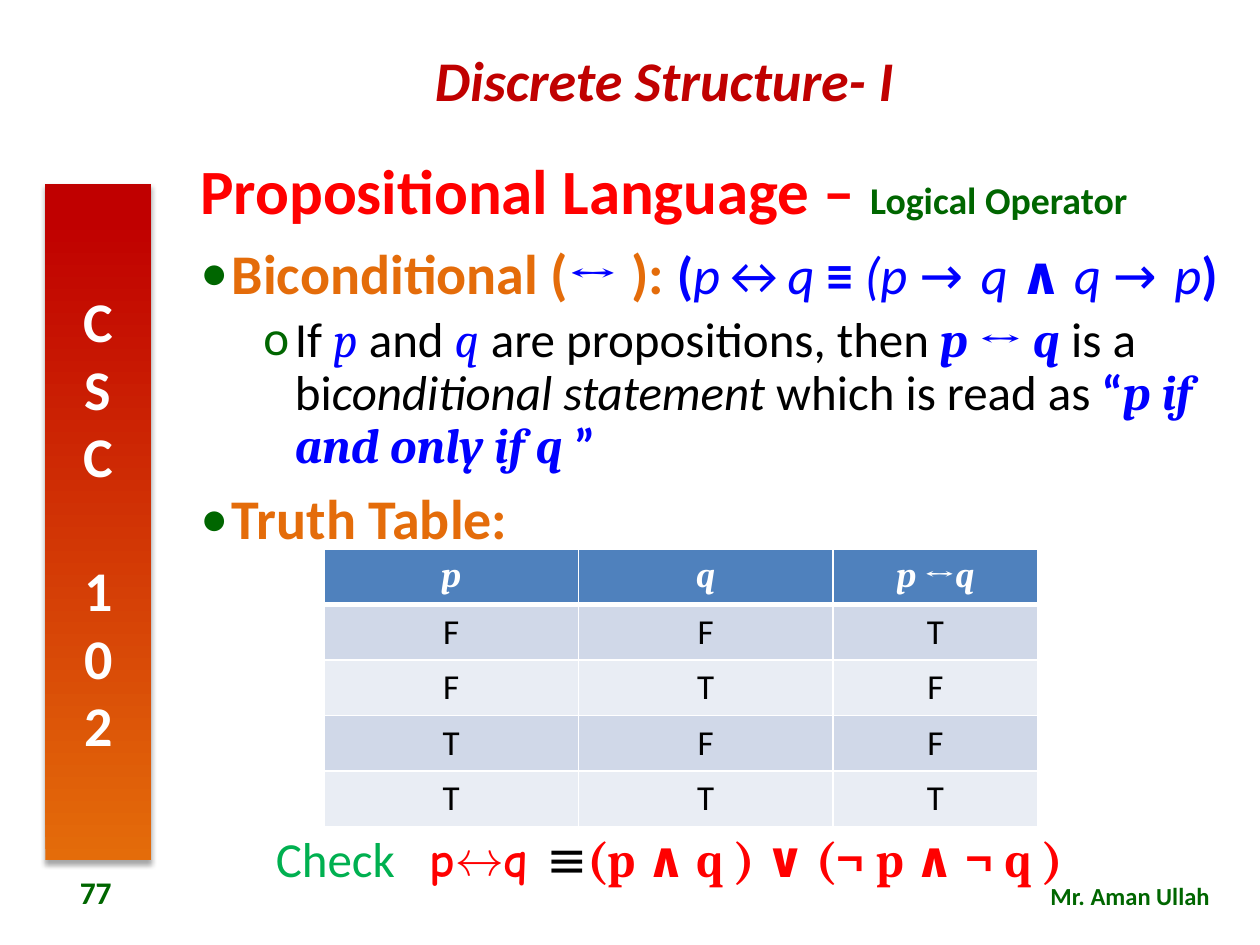
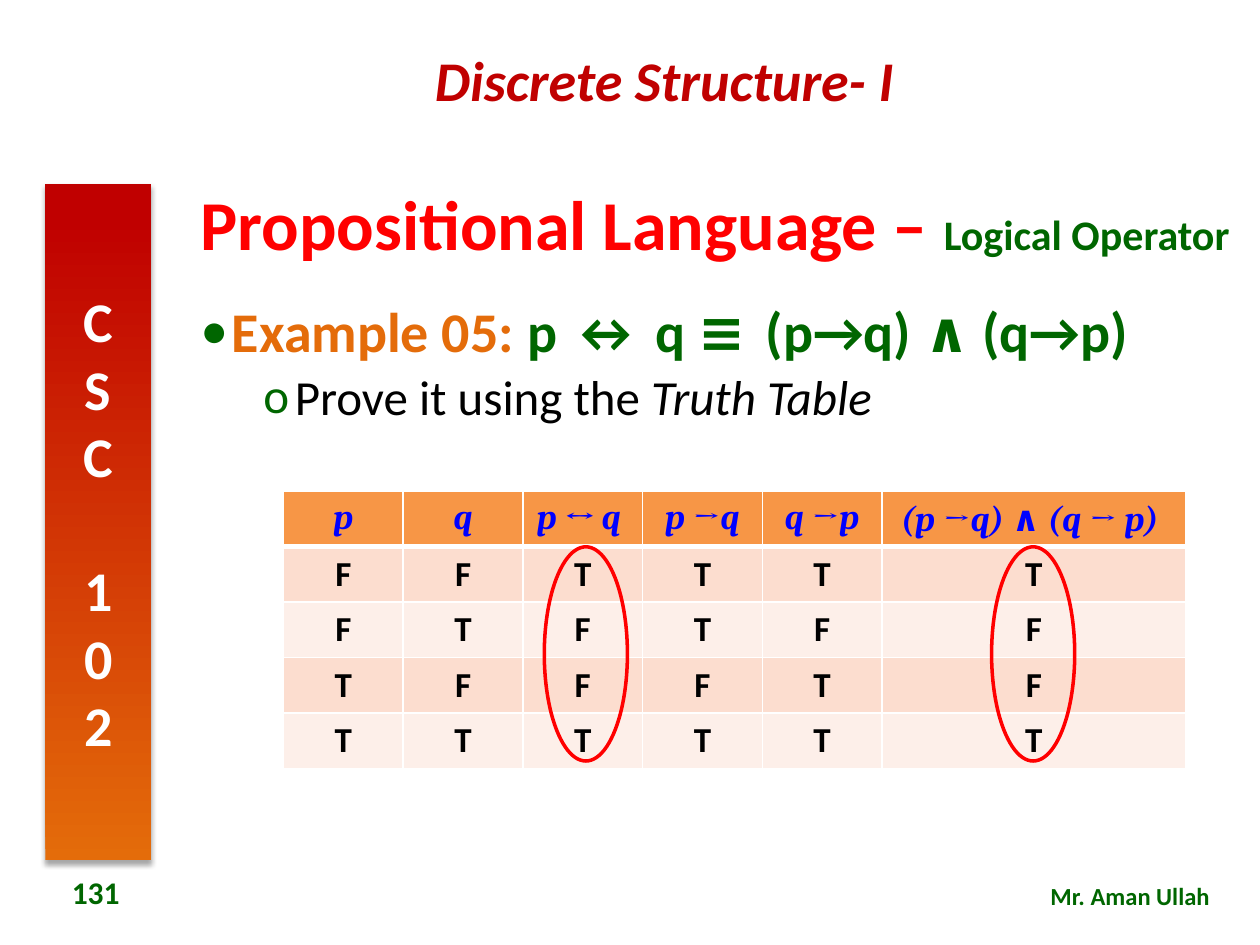
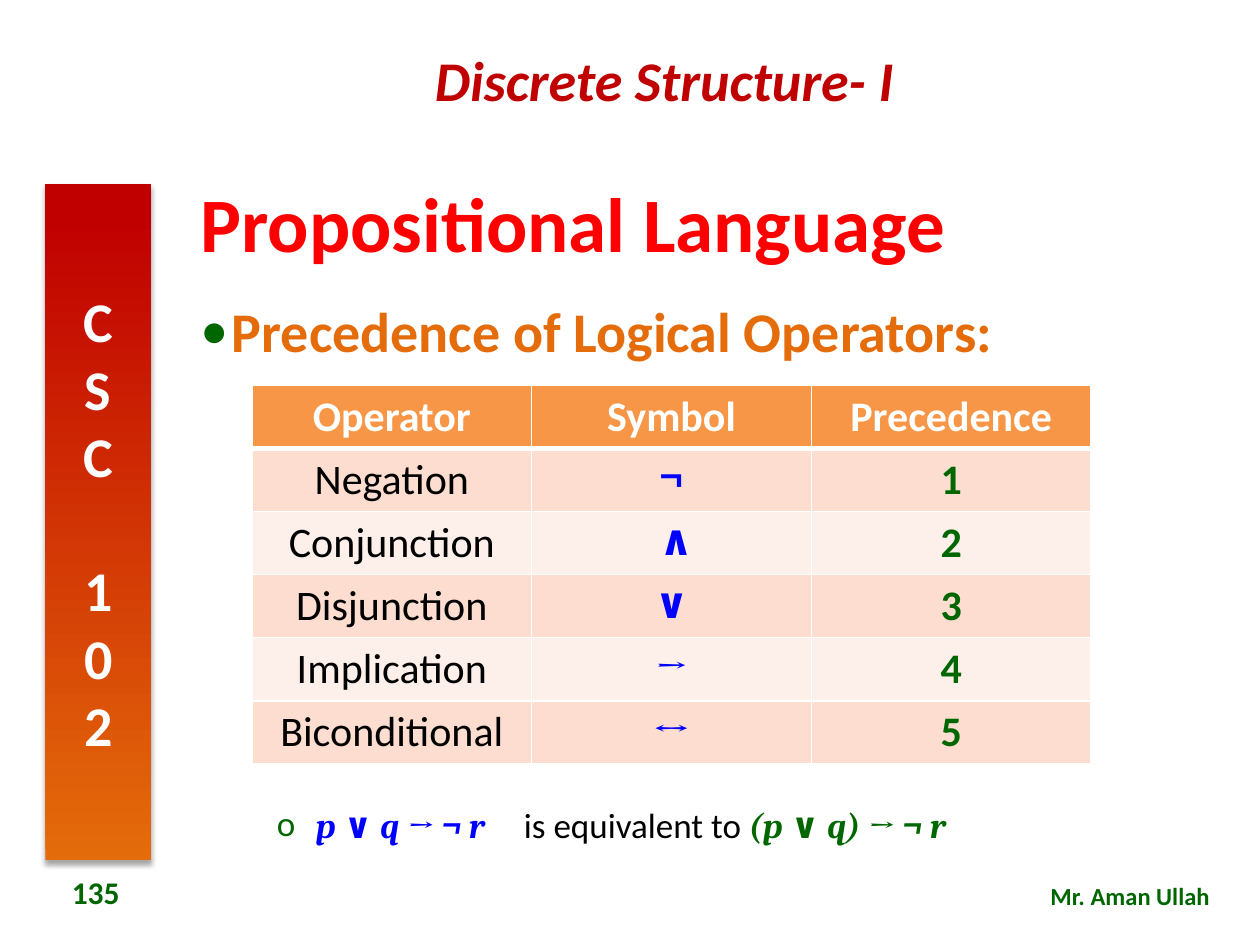
"""Builds three lecture slides on the biconditional and operator precedence."""
import pptx
import pptx.dml.color
import pptx.enum.shapes
import pptx.enum.text
import pptx.oxml
import pptx.oxml.ns
import pptx.util

Inches = pptx.util.Inches
Pt = pptx.util.Pt
ALIGN = pptx.enum.text.PP_ALIGN
SHAPE = pptx.enum.shapes.MSO_SHAPE
MIDDLE = pptx.enum.text.MSO_ANCHOR.MIDDLE

COLORS = {
    "crimson": "C00000", "orange": "E46C0A", "red": "FF0000", "green": "006600",
    "blue": "0000FF", "black": "000000", "white": "FFFFFF", "check": "00B050",
}
BLUE_TABLE = {"header": "4F81BD", "bands": ("D0D8E8", "E9EDF4")}
ORANGE_TABLE = {"header": "F79646", "bands": ("FCDDCF", "FDEFE9")}

PLAIN = {"bold": False, "italic": False}
ITALIC = {"bold": False, "italic": True}
MATH = {"font": "Cambria", "color": "blue", "bold": True, "italic": True}
MATH_SIGN = {**MATH, "italic": False}
MATH_LIGHT = {**MATH, "bold": False}
MATH_HEADER = {"font": "Cambria", "italic": True}
BLUE = {"color": "blue", "size": 30}
BLUE_ITALIC = {**BLUE, **ITALIC}
BLUE_ARROW = {**BLUE, "bold": False, "font": "Comic Neue"}
HEADING = {"size": 32, "color": "orange", "bold": True}
DETAIL = {"size": 28, "color": "black"}
TRUTH_ROWS = [("F", "F"), ("F", "T"), ("T", "F"), ("T", "T")]


def rgb(name):
    """Return the colour for a name or a hex string."""
    return pptx.dml.color.RGBColor.from_string(COLORS.get(name, name))


def xml(markup):
    """Parse markup in the drawing namespace."""
    return pptx.oxml.parse_xml(markup.replace(">", f" {pptx.oxml.ns.nsdecls('a')}>", 1)
                               if "/>" not in markup.split(">")[0] + ">"
                               else markup.replace("/>", f" {pptx.oxml.ns.nsdecls('a')}/>", 1))


def add_run(paragraph, text, size=18, font="Calibri", color="black", bold=False, italic=False):
    """Add one formatted run to a paragraph."""
    run = paragraph.add_run()
    run.text = text
    run.font.name = font
    run.font.size = Pt(size)
    run.font.color.rgb = rgb(color)
    run.font.bold = bold
    run.font.italic = italic


def write(paragraph, runs, align=ALIGN.LEFT, before=0, spacing=None, **base):
    """Write a string, or (text, format) pairs that vary a base format."""
    paragraph.alignment = align
    paragraph.space_before = Pt(before)
    if spacing:
        paragraph.line_spacing = spacing
    for text, changes in [(runs, {})] if isinstance(runs, str) else runs:
        add_run(paragraph, text, **{**base, **changes})


def set_bullet(paragraph, character, left, hanging):
    """Give a paragraph a green bullet with a hanging indent."""
    properties = paragraph._p.get_or_add_pPr()
    properties.set("marL", str(Inches(left)))
    properties.set("indent", str(-Inches(hanging)))
    properties.append(xml(f'<a:buClr><a:srgbClr val="{COLORS["green"]}"/></a:buClr>'))
    properties.append(xml('<a:buFont typeface="Calibri"/>'))
    properties.append(xml(f'<a:buChar char="{character}"/>'))


def set_tab(paragraph, position):
    """Give a paragraph one left tab stop."""
    properties = paragraph._p.get_or_add_pPr()
    properties.append(xml(f'<a:tabLst><a:tab pos="{Inches(position)}" algn="l"/></a:tabLst>'))


def place(shape, left, top, width, height):
    """Move and size a shape."""
    shape.left, shape.top = Inches(left), Inches(top)
    shape.width, shape.height = Inches(width), Inches(height)


def add_text(slide, box, runs, anchor=None, **text_format):
    """Add a wrapped text box with one paragraph."""
    frame = slide.shapes.add_textbox(*map(Inches, box)).text_frame
    frame.word_wrap = True
    frame.vertical_anchor = anchor
    write(frame.paragraphs[0], runs, **text_format)


def add_course_band(slide):
    """Add the gradient side band with the stacked course code."""
    band = slide.shapes.add_shape(SHAPE.RECTANGLE, *map(Inches, (0.36, 1.46, 0.84, 5.37)))
    band.fill.gradient()
    band.fill.gradient_angle = 90
    for stop, color, position in zip(band.fill.gradient_stops, ("orange", "crimson"), (0, 0.95)):
        stop.color.rgb = rgb(color)
        stop.position = position
    band.line.fill.background()
    band._element.spPr.append(xml(
        f'<a:effectLst><a:outerShdw blurRad="{Pt(3.1)}" dist="{Pt(1.8)}" dir="5400000" rotWithShape="0">'
        f'<a:srgbClr val="{COLORS["black"]}"><a:alpha val="35000"/></a:srgbClr>'
        '</a:outerShdw></a:effectLst>'))
    frame = band.text_frame
    frame.vertical_anchor = MIDDLE
    frame._txBody.bodyPr.set("vert", "wordArtVert")
    write(frame.paragraphs[0], "CSC 102", align=ALIGN.CENTER, size=32, color="white", bold=True)


def add_slide(presentation, number, title, title_box, title_size, body_box):
    """Add a slide with the shared frame and return it with its body frame."""
    slide = presentation.slides.add_slide(presentation.slide_layouts[1])
    add_text(slide, (2.11, 0.31, 6.33, 0.64), "Discrete Structure- I", align=ALIGN.CENTER,
             size=32, color="crimson", bold=True, italic=True)
    add_course_band(slide)
    add_text(slide, (6.8, 6.94, 2.9, 0.34), "Mr. Aman Ullah", align=ALIGN.RIGHT,
             size=14, color="green", bold=True)
    add_text(slide, (0.24, 6.88, 1.04, 0.4), str(number), anchor=MIDDLE, align=ALIGN.CENTER,
             size=18, color="green", bold=True)
    body = slide.placeholders[1]
    for placeholder, box in ((slide.shapes.title, title_box), (body, body_box)):
        place(placeholder, *box)
        placeholder.text_frame.auto_size = pptx.enum.text.MSO_AUTO_SIZE.NONE
        placeholder.text_frame.word_wrap = True
    slide.shapes.title.text_frame.vertical_anchor = MIDDLE
    write(slide.shapes.title.text_frame.paragraphs[0], title, spacing=0.9,
          size=title_size, color="red", bold=True)
    return slide, body.text_frame


def add_heading(frame, runs):
    """Add a first-level bullet to the body."""
    first = not frame.text
    paragraph = frame.paragraphs[0] if first else frame.add_paragraph()
    set_bullet(paragraph, "•", 0.25, 0.25)
    write(paragraph, runs, before=0 if first else 10, spacing=0.9, **HEADING)


def add_detail(frame, runs):
    """Add a second-level bullet to the body."""
    paragraph = frame.add_paragraph()
    paragraph.level = 1
    set_bullet(paragraph, "o", 0.75, 0.25)
    write(paragraph, runs, before=5, spacing=0.9, **DETAIL)


def set_borders(cell, row):
    """Draw white cell borders, thicker below the header."""
    properties = cell._tc.get_or_add_tcPr()
    widths = {"L": 1, "R": 1, "T": 3 if row == 1 else 1, "B": 3 if row == 0 else 1}
    for side, width in widths.items():
        properties.append(xml(f'<a:ln{side} w="{Pt(width)}"><a:solidFill>'
                              f'<a:srgbClr val="{COLORS["white"]}"/></a:solidFill></a:ln{side}>'))


def add_table(slide, left, top, widths, row_height, rows, palette, header_format, column_formats):
    """Add a banded table whose first row is the header."""
    table = slide.shapes.add_table(len(rows), len(widths), Inches(left), Inches(top),
                                   Inches(sum(widths)), Inches(row_height * len(rows))).table
    table.horz_banding = False
    for column, width in zip(table.columns, widths):
        column.width = Inches(width)
    for row, values in enumerate(rows):
        table.rows[row].height = Inches(row_height)
        fill = palette["bands"][(row - 1) % 2] if row else palette["header"]
        for column, value in enumerate(values):
            cell = table.cell(row, column)
            set_borders(cell, row)
            cell.fill.solid()
            cell.fill.fore_color.rgb = rgb(fill)
            text_format = column_formats[column] if row else header_format
            write(cell.text_frame.paragraphs[0], value, align=ALIGN.CENTER, **text_format)


def add_ring(slide, left):
    """Ring the result column of the truth table."""
    ring = slide.shapes.add_shape(SHAPE.OVAL, *map(Inches, (left, 4.34, 0.66, 1.7)))
    ring.shadow.inherit = False
    ring.fill.background()
    ring.line.color.rgb = rgb("red")
    ring.line.width = Pt(2)


def operator_title(size):
    """Return the title runs with the small operator label."""
    return [("Propositional Language – ", {}), ("Logical Operator", {"size": size, "color": "green"})]


def build_biconditional(presentation):
    """Build the slide that defines the biconditional."""
    slide, body = add_slide(presentation, 77, operator_title(21.6), (1.49, 1.31, 8.39, 0.46), 36,
                            (1.49, 1.9, 8.39, 5.25))
    add_heading(body, [
        ("Biconditional (", {}), ("↔", MATH_SIGN), (" ): ", {}), ("(", BLUE),
        ("p", BLUE_ITALIC), ("↔", {**BLUE, **PLAIN}), ("q ", BLUE_ITALIC), ("≡ ", BLUE),
        ("(p ", BLUE_ITALIC), ("→ ", BLUE_ARROW), ("q", BLUE_ITALIC), (" ∧ ", BLUE),
        ("q ", BLUE_ITALIC), ("→ ", BLUE_ARROW), ("p", BLUE_ITALIC), (")", BLUE)])
    quote = {"color": "blue", "bold": True}
    add_detail(body, [
        ("If ", {}), ("p", MATH_LIGHT), (" and ", {}), ("q", MATH_LIGHT),
        (" are propositions, then ", {}), ("p ", MATH), ("↔ ", MATH_SIGN), ("q", MATH),
        (" is a bi", {}), ("conditional statement ", ITALIC), ("which is read as ", {}),
        ("“", quote), ("p if and only if q", MATH), (" ”", quote)])
    add_heading(body, "Truth Table:")
    header = ["p", "q", [("p ", {}), ("↔", {"italic": False}), ("q", {})]]
    results = [(*values, result) for values, result in zip(TRUTH_ROWS, "TFFT")]
    add_table(slide, 2.57, 4.36, (2.02, 2.02, 1.63), 0.44, [header, *results], BLUE_TABLE,
              {**MATH_HEADER, "size": 20, "color": "white", "bold": True}, [{"size": 20}] * 3)
    box = slide.shapes.add_textbox(*map(Inches, (2.09, 6.53, 7.42, 0.57)))
    box.text_frame.word_wrap = True
    paragraph = box.text_frame.paragraphs[0]
    set_tab(paragraph, 1.22)
    write(paragraph, [
        ("Check\t", {"color": "check"}),
        ("p↔q ", {"font": "Comic Neue", "color": "red", "bold": True}),
        ("≡", {"font": "Comic Neue"}),
        ("(p ∧ q ) ∨ (¬ p ∧ ¬ q )", {"font": "Cambria", "color": "red", "bold": True})], size=28)


def build_example(presentation):
    """Build the slide that proves the equivalence by truth table."""
    slide, body = add_slide(presentation, 131, operator_title(24), (1.49, 1.36, 8.39, 0.89), 40,
                            (1.49, 2.36, 8.39, 4.4))
    green = {"color": "green"}
    add_heading(body, [("Example 05: ", {}), ("p ↔ q ", green),
                       ("≡ ", {**green, "font": "Comic Neue"}), ("(p→q) ∧ (q→p)", green)])
    add_detail(body, [("Prove it using the ", {}), ("Truth Table", ITALIC)])
    upright = {"italic": False}
    header = [
        "p", "q", "p ↔ q ",
        [("p ", {}), ("→", upright), ("q", {})],
        [("q ", {}), ("→", upright), ("p", {})],
        [("(p ", {}), ("→", upright), ("q) ", {}), ("∧ ", {**upright, "font": "Calibri"}),
         ("(q ", {}), ("→ ", upright), ("p) ", {})]]
    results = [(*values, *result) for values, result in zip(TRUTH_ROWS, ("TTTT", "FTFF", "FFTF", "TTTT"))]
    add_table(slide, 2.25, 3.9, (0.95,) * 5 + (2.41,), 0.44, [header, *results], ORANGE_TABLE,
              {**MATH, "size": 20}, [{"size": 20, "bold": True}] * 6)
    for left in (4.32, 7.87):
        add_ring(slide, left)


def build_precedence(presentation):
    """Build the slide that ranks the logical operators."""
    slide, body = add_slide(presentation, 135, "Propositional Language", (1.49, 1.36, 8.39, 0.89), 44,
                            (1.49, 2.36, 8.39, 4.4))
    add_heading(body, "Precedence of Logical Operators:")
    operators = [("Negation", "¬"), ("Conjunction", " ∧"), ("Disjunction", "∨"),
                 ("Implication", "→"), ("Biconditional", "↔")]
    ranks = [(name, symbol, str(rank)) for rank, (name, symbol) in enumerate(operators, 1)]
    add_table(slide, 2, 3.06, (2.22,) * 3, 0.5, [("Operator", "Symbol", "Precedence"), *ranks],
              ORANGE_TABLE, {"size": 24, "color": "white", "bold": True},
              [{"size": 24}, {**MATH_SIGN, "size": 24}, {"size": 24, "color": "green", "bold": True}])
    box = slide.shapes.add_textbox(*map(Inches, (2.1, 6.33, 6.47, 0.44)))
    box.text_frame.word_wrap = True
    paragraph = box.text_frame.paragraphs[0]
    set_bullet(paragraph, "o", 0.31, 0.31)
    set_tab(paragraph, 1.96)
    green = {**MATH, "color": "green"}
    write(paragraph, [
        ("p ", MATH), ("∨ ", MATH_SIGN), ("q → ¬ r\t", MATH), ("is equivalent to ", {}),
        ("(p ", green), ("∨ ", {**green, "italic": False}), ("q) → ¬ r", green)], size=20)


def main():
    """Build and save the presentation."""
    presentation = pptx.Presentation()
    presentation.slide_width, presentation.slide_height = Inches(10), Inches(7.5)
    build_biconditional(presentation)
    build_example(presentation)
    build_precedence(presentation)
    presentation.save("out.pptx")


if __name__ == "__main__":
    main()
